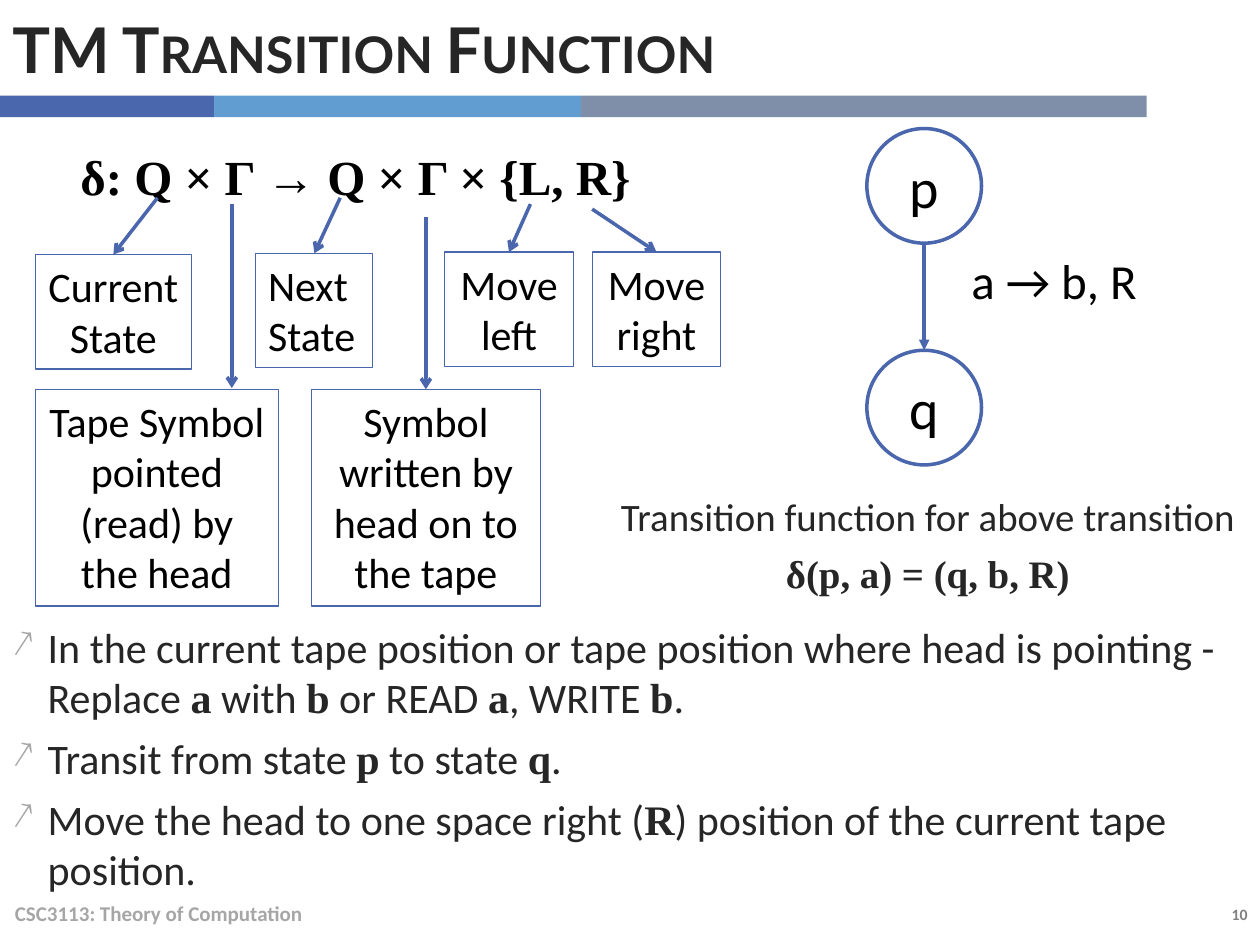
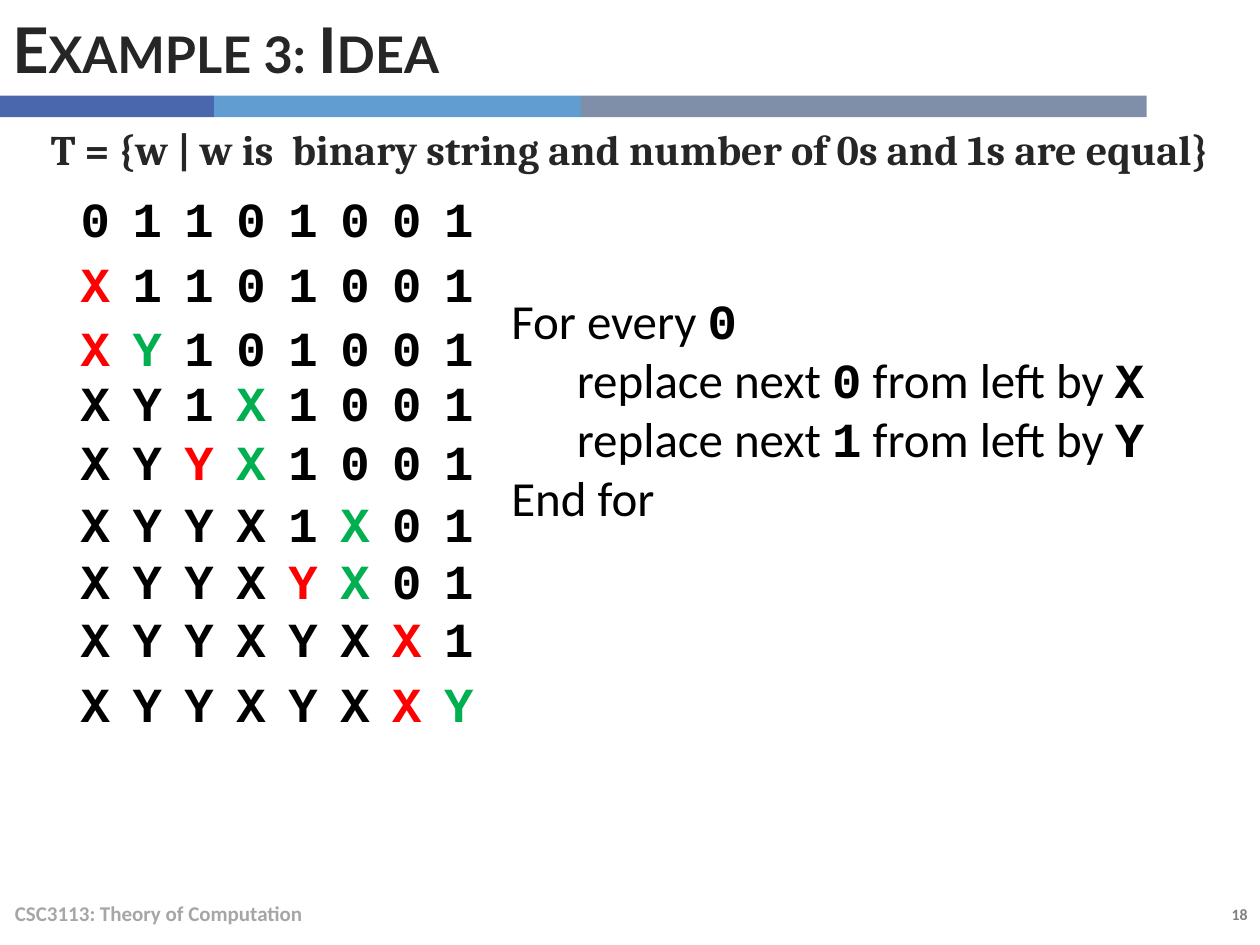
from dataclasses import dataclass

from lxml import etree
from pptx import Presentation
from pptx.dml.color import RGBColor
from pptx.enum.shapes import MSO_CONNECTOR as Cxn, MSO_SHAPE as Shape
from pptx.enum.text import MSO_ANCHOR as Anchor, PP_ALIGN as Align
from pptx.oxml.ns import qn
from pptx.util import Inches, Pt

COLORS = {
    "blue": "4A66AC", "sky": "629DD1", "slate": "7F8FA9",
    "ink": "262626", "black": "000000", "footer": "A6A6A6", "number": "808080",
    "red": "FF0000", "green": "00B050",
}
SANS, TITLE, SERIF, MONO, CAMBRIA = (
    "Calibri", "Lato", "Times New Roman", "Courier New", "Cambria")

# The slide is a grid of 100 columns and 75 rows.
WIDTH, HEIGHT = Inches(10), Inches(7.5)
COL, ROW = WIDTH / 100, HEIGHT / 75


@dataclass
class Box:
    """A region in grid columns and rows."""
    x: float
    y: float
    w: float
    h: float

    def inner(self, x, y, w, h):
        """A box placed relative to this one."""
        return Box(self.x + x, self.y + y, w, h)

    def point(self, x, y):
        return int((self.x + x) * COL), int((self.y + y) * ROW)

    def emu(self):
        return (*self.point(0, 0), int(self.w * COL), int(self.h * ROW))


def rgb(name):
    return RGBColor.from_string(COLORS[name])


def add_run(p, text, size, font=SANS, color="black", bold=False):
    r = p.add_run()
    r.text = text
    r.font.size, r.font.name, r.font.bold = Pt(size), font, bold
    r.font.color.rgb = rgb(color)
    return r


def add_mixed(p, pieces, size, accent, color="black"):
    """Add runs that alternate between plain text and the bold accent font."""
    for i, text in enumerate(pieces):
        if text:
            add_run(p, text, size, accent if i % 2 else SANS, color, bool(i % 2))


def add_text(s, box, anchor=Anchor.TOP, align=Align.LEFT):
    """Add a wrapping text box and return its frame."""
    tf = s.shapes.add_textbox(*box.emu()).text_frame
    tf.word_wrap, tf.vertical_anchor = True, anchor
    tf.paragraphs[0].alignment = align
    return tf


def paragraphs(tf, count):
    """Yield count paragraphs, the first being the one already there."""
    for i in range(count):
        yield tf.add_paragraph() if i else tf.paragraphs[0]


def add_outlined(s, kind, box, text, size, line, anchor=Anchor.TOP, align=Align.CENTER):
    sp = s.shapes.add_shape(kind, *box.emu())
    sp.shadow.inherit = False
    sp.fill.background()
    sp.line.color.rgb, sp.line.width = rgb("blue"), Pt(line)
    tf = sp.text_frame
    tf.word_wrap, tf.vertical_anchor = True, anchor
    p = tf.paragraphs[0]
    p.alignment = align
    add_run(p, text, size)
    return sp


def add_arrow(s, start, end, head="arrow"):
    arrow = s.shapes.add_connector(Cxn.STRAIGHT, *start, *end)
    arrow.line.color.rgb, arrow.line.width = rgb("blue"), Pt(2)
    spPr = arrow._element.spPr
    etree.SubElement(spPr.get_or_add_ln(), qn("a:tailEnd"), type=head)
    etree.SubElement(spPr, qn("a:effectLst"))
    return arrow


def set_bullet(p):
    pPr = p._p.get_or_add_pPr()
    pPr.set("marL", str(Inches(0.28)))
    pPr.set("indent", str(-Inches(0.28)))
    color = etree.SubElement(pPr, qn("a:buClr"))
    etree.SubElement(color, qn("a:srgbClr"), val=COLORS["footer"])
    etree.SubElement(pPr, qn("a:buSzPct"), val="90000")
    etree.SubElement(pPr, qn("a:buChar"), char="↗")


def add_bands(s, box):
    x = 0
    for color, w in (("blue", 17), ("sky", 29.1), ("slate", 44.9)):
        sp = s.shapes.add_shape(Shape.RECTANGLE, *box.inner(x, 0, w, box.h).emu())
        sp.shadow.inherit = False
        sp.fill.solid()
        sp.fill.fore_color.rgb = rgb(color)
        sp.line.fill.background()
        x += w


def add_footer(s, box, number):
    tf = add_text(s, box.inner(0.2, 0, 67, 4), Anchor.MIDDLE)
    add_run(tf.paragraphs[0], "CSC3113: Theory of Computation", 12,
            color="footer", bold=True)
    tf = add_text(s, box.inner(87.3, 0.8, 12.7, 2.5), align=Align.RIGHT)
    add_run(tf.paragraphs[0], str(number), 9, color="number", bold=True)


def new_slide(prs, title, number):
    """Add a blank slide with the shared title, bands and footer."""
    s = prs.slides.add_slide(prs.slide_layouts[6])
    add_bands(s, Box(0, 7.6, 91, 1.7))
    add_footer(s, Box(0, 70.5, 100, 4), number)
    p = add_text(s, Box(0, 0, 91, 7.6), Anchor.MIDDLE).paragraphs[0]
    p.space_before = Pt(6)
    r = add_run(p, title, 36, TITLE, "ink", True)
    r._r.get_or_add_rPr().set("cap", "small")
    return s


def add_signature(s, box):
    """The type of δ, with an arrow from each symbol to its meaning."""
    tf = add_text(s, box.inner(2.6, 0, 46.7, 5.7))
    add_run(tf.paragraphs[0], "δ: Q × Γ → Q × Γ × {L, R}", 28, SERIF, bold=True)

    upper, lower, short, tall = 9, 19.8, 9.1, 17.2
    meanings = (  # text, x, y, width, height, arrow start
        ("Current State", 0, upper + 0.1, 12.4, short, (9.7, 4.6)),
        ("Tape Symbol pointed (read) by the head", 0, lower, 19.3, tall, None),
        ("Next State", 17.5, upper, 9.3, short, (24.2, 4.6)),
        ("Symbol written by head on to the tape", 21.9, lower, 18.2, tall, (31, 6.1)),
        ("Move left", 32.5, upper - 0.1, 10.2, short, (39.3, 5.1)),
        ("Move right", 44.2, upper - 0.1, 10.2, short, (44.2, 5.5)),
    )
    for text, x, y, w, h, start in meanings:
        align = Align.LEFT if text == "Next State" else Align.CENTER
        sp = add_outlined(s, Shape.RECTANGLE, box.inner(x, y, w, h), text, 24, 0.75,
                          align=align)
        if start:
            arrow = add_arrow(s, box.point(*start), box.point(x + w / 2, y))
            arrow.end_connect(sp, 0)
    add_arrow(s, box.point(15.6, 5.1), box.point(15.6, lower - 0.1))


def add_state_diagram(s, box):
    size, step = 9.1, 17.6
    for i, state in enumerate("pq"):
        add_outlined(s, Shape.OVAL, box.inner(0, i * step, size, size), state, 32, 2,
                     Anchor.MIDDLE)
    add_arrow(s, box.point(size / 2, size), box.point(size / 2, step), "triangle")
    tf = add_text(s, box.inner(6.3, 8.4, 17.1, 7.3), Anchor.MIDDLE, Align.CENTER)
    add_run(tf.paragraphs[0], "a → b, R", 28)


def add_transition(s, box):
    lines = (["Transition function for above transition"], ["", "δ(p, a) = (q, b, R)"])
    tf = add_text(s, box)
    for p, pieces in zip(paragraphs(tf, len(lines)), lines):
        p.alignment, p.space_before = Align.CENTER, Pt(6)
        add_mixed(p, pieces, 22.2, SERIF, "ink")


def add_steps(s, box):
    steps = (
        ["In the current tape position or tape position where head is pointing - Replace ",
         "a", " with ", "b", " or READ ", "a", ", WRITE ", "b", "."],
        ["Transit from state ", "p", " to state ", "q", "."],
        ["Move the head to one space right (", "R",
         ") position of the current tape position."],
    )
    tf = add_text(s, box)
    for p, pieces in zip(paragraphs(tf, len(steps)), steps):
        p.space_before = Pt(6)
        set_bullet(p)
        add_mixed(p, pieces, 24, SERIF, "ink")


def add_tape(s, box, symbols, marks):
    """One tape as a table row; marks maps a cell index to its colour."""
    table = s.shapes.add_table(1, len(symbols), *box.emu()).table
    table.first_row = table.horz_banding = False
    for i, symbol in enumerate(symbols):
        table.columns[i].width = int(box.w * COL / len(symbols))
        cell = table.cell(0, i)
        cell.fill.background()
        cell.margin_left = cell.margin_right = cell.margin_top = cell.margin_bottom = 0
        cell.vertical_anchor = Anchor.MIDDLE
        p = cell.text_frame.paragraphs[0]
        p.alignment = Align.CENTER
        add_run(p, symbol, 28, MONO, marks.get(i, "black"), True)


def add_trace(s, box):
    tapes = (  # offset, symbols, marked cells
        (0, "01101001", {}),
        (5.1, "X1101001", {0: "red"}),
        (10.2, "XY101001", {0: "red", 1: "green"}),
        (14.6, "XY1X1001", {3: "green"}),
        (19.3, "XYYX1001", {2: "red", 3: "green"}),
        (24.2, "XYYX1X01", {5: "green"}),
        (28.7, "XYYXYX01", {4: "red", 5: "green"}),
        (33.3, "XYYXYXX1", {6: "red"}),
        (38.5, "XYYXYXXY", {6: "red", 7: "green"}),
    )
    for y, symbols, marks in tapes:
        add_tape(s, box.inner(0, y, box.w, 4), symbols, marks)


def add_loop(s, box):
    lines = (
        (0, ["For every ", "0"]),
        (0.52, ["replace next ", "0", " from left by ", "X"]),
        (0.52, ["replace next ", "1", " from left by ", "Y"]),
        (0, ["End for"]),
    )
    tf = add_text(s, box)
    for p, (indent, pieces) in zip(paragraphs(tf, len(lines)), lines):
        p._p.get_or_add_pPr().set("marL", str(Inches(indent)))
        add_mixed(p, pieces, 28, MONO)


def transition_slide(prs):
    s = new_slide(prs, "TM Transition Function", 10)
    add_steps(s, Box(0, 48.8, 99.9, 21.6))
    add_signature(s, Box(2.8, 11.1, 54.4, 37))
    add_transition(s, Box(47.3, 38.6, 52.7, 9.5))
    add_state_diagram(s, Box(68.8, 10.2, 23.4, 26.7))


def example_slide(prs):
    s = new_slide(prs, "Example 3: Idea", 18)
    p = add_text(s, Box(0, 9.3, 99.9, 61.1), align=Align.CENTER).paragraphs[0]
    p.space_before = Pt(6)
    add_run(p, "T = {w | w is  binary string and number of 0s and 1s are equal}",
            24, CAMBRIA, "ink", True)
    add_trace(s, Box(5.5, 15.5, 33, 42.5))
    add_loop(s, Box(39.6, 22.6, 56.5, 19.9))


def main():
    prs = Presentation()
    prs.slide_width, prs.slide_height = WIDTH, HEIGHT
    transition_slide(prs)
    example_slide(prs)
    prs.save("out.pptx")


if __name__ == "__main__":
    main()
